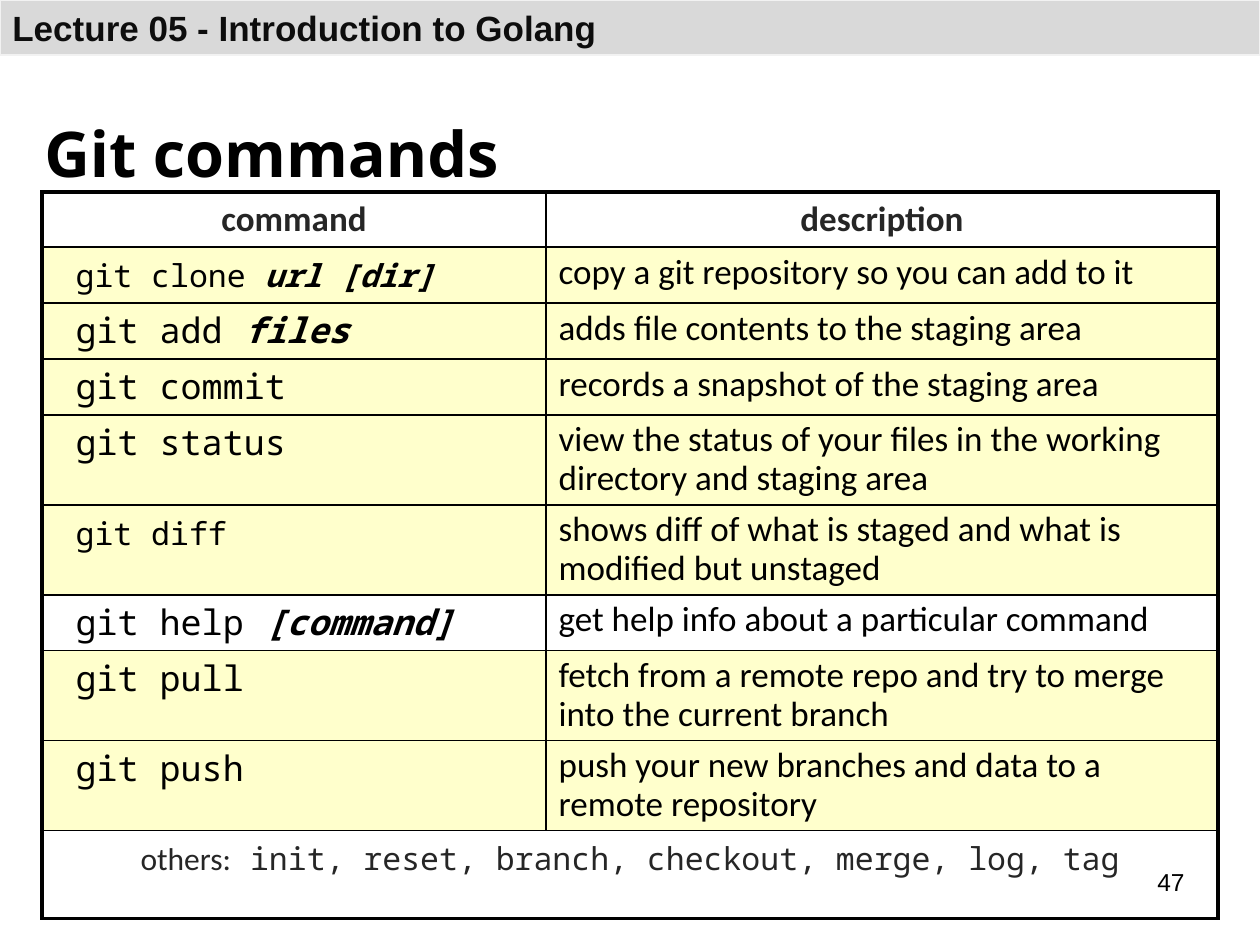
from lxml import etree
from pptx import Presentation
from pptx.dml.color import RGBColor
from pptx.enum.shapes import MSO_SHAPE
from pptx.enum.text import MSO_ANCHOR, PP_ALIGN
from pptx.oxml.ns import qn
from pptx.util import Pt

SCALE = 914400 / 126
RECT = MSO_SHAPE.RECTANGLE
TOP, MIDDLE = MSO_ANCHOR.TOP, MSO_ANCHOR.MIDDLE
LEFT, CENTER, RIGHT = PP_ALIGN.LEFT, PP_ALIGN.CENTER, PP_ALIGN.RIGHT
SANS, MONO, HEAD, BODY = "Arial", "Noto Sans Mono", "Open Sans", "Calibri"
COLORS = {
    "black": "000000", "ink": "0D0D0D", "gray": "262626",
    "bar": "D9D9D9", "edge": "F2F2F2", "cream": "FFFFCC",
}
THICK, THIN = 2.25, 1
COLS = (504, 672)
ONE, TWO = 56, 90
ROWS = [
    (ONE, 18, "git clone ", "url [dir]", "copy a git repository so you can add to it"),
    (ONE, 20, "git add ", "files", "adds file contents to the staging area"),
    (ONE, 20, "git commit", "", "records a snapshot of the staging area"),
    (TWO, 20, "git status", "",
     "view the status of your files in the working directory and staging area"),
    (TWO, 18, "git diff", "",
     "shows diff of what is staged and what is modified but unstaged"),
    (ONE, 20, "git help ", "[command]", "get help info about a particular command"),
    (TWO, 20, "git pull", "",
     "fetch from a remote repo and try to merge into the current branch"),
    (TWO, 20, "git push", "", "push your new branches and data to a remote repository"),
]
PLAIN = "git help "
OTHERS = " init, reset, branch, checkout, merge, log, tag"


def px(num):
    """Turn px into EMU."""
    return round(num * SCALE)


def rgb(name):
    """Look up a colour."""
    return RGBColor.from_string(COLORS[name])


def add_run(para, text, font, size, color="black", bold=False, italic=False):
    """Add one styled run."""
    run = para.add_run()
    run.text = text
    run.font.name = font
    run.font.size = Pt(size)
    run.font.bold = bold
    run.font.italic = italic
    run.font.color.rgb = rgb(color)


def add_text(slide, box, text, font, size, bold=False, align=LEFT, anchor=TOP):
    """Add a text box of one line."""
    frame = slide.shapes.add_textbox(*map(px, box)).text_frame
    frame.word_wrap = True
    frame.vertical_anchor = anchor
    para = frame.paragraphs[0]
    para.alignment = align
    add_run(para, text, font, size, bold=bold)


def add_bar(slide, text):
    """Add the lecture bar."""
    bar = slide.shapes.add_shape(RECT, 0, 0, px(1260), px(55))
    bar.shadow.inherit = False
    bar.fill.solid()
    bar.fill.fore_color.rgb = rgb("bar")
    bar.line.color.rgb = rgb("edge")
    bar.line.width = Pt(0.75)
    frame = bar.text_frame
    frame.word_wrap = True
    frame.vertical_anchor = MIDDLE
    para = frame.paragraphs[0]
    para.alignment = LEFT
    add_run(para, text, SANS, 20, "ink", bold=True)


def set_edges(cell, widths):
    """Draw cell borders ahead of the fill."""
    props = cell._tc.get_or_add_tcPr()
    for spot, (side, width) in enumerate(zip("LRTB", widths)):
        line = etree.Element(qn(f"a:ln{side}"), w=str(Pt(width)))
        fill = etree.SubElement(line, qn("a:solidFill"))
        etree.SubElement(fill, qn("a:srgbClr"), val=COLORS["black"])
        props.insert(spot, line)


def style_cell(cell, row, col, last, cream):
    """Set fill and borders by place in the grid."""
    if cream:
        cell.fill.solid()
        cell.fill.fore_color.rgb = rgb("cream")
    else:
        cell.fill.background()
    foot = row == last
    outer = (col == 0 or foot, col == 1 or foot, row == 0, foot)
    set_edges(cell, [THICK if edge else THIN for edge in outer])


def add_grid(slide):
    """Add the table of commands."""
    highs = [55, *(row[0] for row in ROWS), 88]
    last = len(highs) - 1
    frame = slide.shapes.add_table(
        len(highs), 2, px(42), px(192), px(sum(COLS)), px(sum(highs)))
    table = frame.table
    table.first_row = table.horz_banding = False
    for col, width in zip(table.columns, COLS):
        col.width = px(width)
    for row, high in enumerate(highs):
        table.rows[row].height = px(high)
        cream = 0 < row < last and ROWS[row - 1][2] != PLAIN
        for col in range(2):
            style_cell(table.cell(row, col), row, col, last, cream)

    for col, text in enumerate(("command", "description")):
        para = table.cell(0, col).text_frame.paragraphs[0]
        para.alignment = CENTER
        add_run(para, text, BODY, 20, "gray", bold=True)

    for row, (_, size, verb, args, note) in enumerate(ROWS, 1):
        left, right = (table.cell(row, col).text_frame.paragraphs[0] for col in range(2))
        left.line_spacing = right.line_spacing = 0.9
        add_run(left, " ", MONO, 20)
        add_run(left, verb, MONO, size)
        if args:
            add_run(left, args, MONO, size, bold=True, italic=True)
        add_run(right, note, BODY, 20)

    foot = table.cell(last, 0)
    foot.merge(table.cell(last, 1))
    para = foot.text_frame.paragraphs[0]
    para.alignment = CENTER
    add_run(para, "others:", BODY, 18, "gray")
    add_run(para, OTHERS, MONO, 18, "gray")


def main():
    """Build and save the slide."""
    deck = Presentation()
    deck.slide_width, deck.slide_height = px(1260), px(945)
    slide = deck.slides.add_slide(deck.slide_layouts[6])
    add_bar(slide, "Lecture 05 - Introduction to Golang")
    add_text(slide, (32, 105, 1134, 94), "Git commands", HEAD, 36, bold=True, anchor=MIDDLE)
    add_grid(slide)
    add_text(slide, (903, 861, 294, 65), "47", SANS, 14, align=RIGHT)
    deck.save("out.pptx")


if __name__ == "__main__":
    main()
